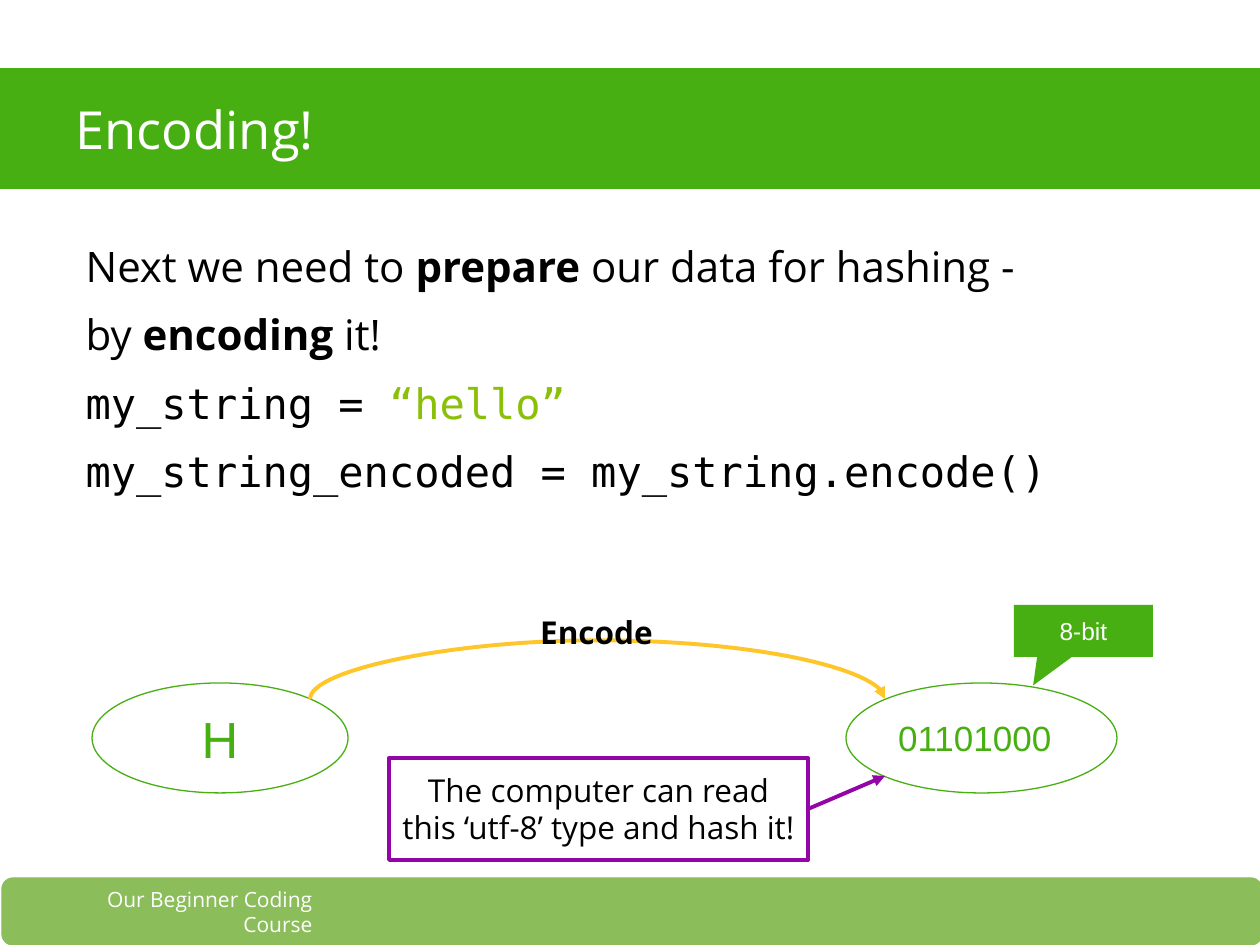
"""Build the slide on encoding a string before hashing it."""
from lxml.etree import SubElement
from pptx import Presentation
from pptx.dml.color import RGBColor
from pptx.enum.shapes import MSO_CONNECTOR as Conn, MSO_SHAPE as Shape
from pptx.enum.text import MSO_ANCHOR as Anchor, MSO_AUTO_SIZE as Fit, PP_ALIGN as Align
from pptx.oxml.ns import qn
from pptx.util import Emu, Pt

THEME = {
    "green": "47AF11", "footer": "8BBD5B", "string": "8AC007", "yellow": "FFC629",
    "purple": "9305A6", "white": "FFFFFF", "black": "000000",
    "sans": "Open Sans", "mono": "DejaVu Sans Mono", "plain": "Arial",
    "title": 30, "body": 24, "letter": 29, "bits": 20, "label": 18, "tag": 14, "small": 12,
}
THIN, THICK = 0.75, 2.25

TITLE = "Encoding!"
BODY = [
    [("Next we need to ", {}), ("prepare", {"bold": True}), (" our data for hashing -", {})],
    [("by ", {}), ("encoding", {"bold": True}), (" it!", {})],
    [("my_string = ", {"font": "mono"}), ("“hello”", {"font": "mono", "color": "string"})],
    [("my_string_encoded = my_string.encode()", {"font": "mono"})],
]
BARS = [
    (Shape.ROUNDED_RECTANGLE, (2, 878, 1260, 67), {"fill": "footer", "line": "footer"}),
    (Shape.RECTANGLE, (0, 68, 1260, 121), {"fill": "green"}),
]
FOOTER = ("Our Beginner Coding Course", (23, 887, 302, 49),
          {"size": "small", "color": "white", "align": Align.RIGHT, "anchor": Anchor.MIDDLE})
ENCODE = ("Encode", (476, 600, 241, 63), {"size": "label", "bold": True, "align": Align.CENTER})
LETTER = ("H", Shape.OVAL, (92, 683, 256, 110), {"line": "green"},
          {"size": "letter", "font": "plain", "color": "green"})
BITS = ("01101000", Shape.OVAL, (846, 683, 271, 110), {"line": "green"},
        {"size": "bits", "font": "plain", "color": "green", "align": Align.LEFT})
NOTE = ("The computer can read this ‘utf-8’ type and hash it!", Shape.RECTANGLE,
        (389, 758, 419, 102), {"line": "purple", "weight": THICK},
        {"size": "label", "anchor": Anchor.TOP})
TAG = ("8-bit", Shape.RECTANGULAR_CALLOUT, (1014, 605, 139, 52),
       {"fill": "green", "adj": (-0.362, 1.049)},
       {"size": "tag", "font": "plain", "color": "white"})
ARC = {"start": (310, 699), "end": (885, 699), "thickness": 600, "bend": -59091700}
POINTER = ((808, 809), (885, 776))

prs = Presentation()
prs.slide_width, prs.slide_height = 9144000, 6858000
PX = prs.slide_width / 1260


def px(*values):
    return [Emu(round(v * PX)) for v in values]


def color(name):
    return RGBColor.from_string(THEME[name])


def place(shape, box):
    for name, value in zip(("left", "top", "width", "height"), px(*box)):
        setattr(shape, name, value)


def write(shape, paragraphs, size="body", font="sans", color_name="black",
          align=Align.LEFT, anchor=Anchor.TOP, bold=False, spacing=None):
    tf = shape.text_frame
    frame = {"word_wrap": True, "auto_size": Fit.NONE, "vertical_anchor": anchor}
    frame.update({f"margin_{side}": Emu(91440) for side in ("left", "top", "right", "bottom")})
    for name, value in frame.items():
        setattr(tf, name, value)
    for i, runs in enumerate(paragraphs):
        p = tf.add_paragraph() if i else tf.paragraphs[0]
        p.alignment = align
        if spacing:
            p.line_spacing = spacing
            p.space_before = Pt(6 if i else 0)
            pPr = p._p.get_or_add_pPr()
            pPr.set("marL", "0")
            pPr.set("indent", "0")
            SubElement(pPr, qn("a:buNone"))
        for text, style in runs:
            r = p.add_run()
            r.text = text
            look = {"name": THEME[style.get("font", font)], "size": Pt(THEME[size]),
                    "bold": style.get("bold", bold)}
            for name, value in look.items():
                setattr(r.font, name, value)
            r.font.color.rgb = color(style.get("color", color_name))


def label(shape, text, look):
    look = dict(look)
    write(shape, [[(text, {})]], color_name=look.pop("color", "black"), **look)


def add_shape(s, kind, box, look):
    sp = s.shapes.add_shape(kind, *px(*box))
    sp.shadow.inherit = False
    for part, fill in (("fill", sp.fill), ("line", sp.line.fill)):
        if part in look:
            fill.solid()
            fill.fore_color.rgb = color(look[part])
        else:
            fill.background()
    if "line" in look:
        sp.line.width = Pt(look.get("weight", THIN))
    for i, value in enumerate(look.get("adj", ())):
        sp.adjustments[i] = value
    return sp


def add_labelled(s, text, kind, box, look, text_look):
    sp = add_shape(s, kind, box, look)
    label(sp, text, {"align": Align.CENTER, "anchor": Anchor.MIDDLE, **text_look})
    return sp


def add_text(s, text, box, look):
    label(s.shapes.add_textbox(*px(*box)), text, look)


def add_arrow(s, kind, start, end, line_color):
    c = s.shapes.add_connector(kind, *px(*start, *end))
    c.line.color.rgb = color(line_color)
    c.line.width = Pt(THICK)
    SubElement(c.line._get_or_add_ln(), qn("a:tailEnd"), type="triangle")
    SubElement(c._element.spPr, qn("a:effectLst"))
    return c


def add_arc(s, source, target):
    (x1, y), (x2, _) = ARC["start"], ARC["end"]
    c = add_arrow(s, Conn.CURVE, ARC["start"], ARC["end"], "yellow")
    place(c, ((x1 + x2) / 2, y - (x2 - x1) / 2, 0, x2 - x1))
    c.width = Emu(ARC["thickness"])
    xfrm = c._element.spPr.find(qn("a:xfrm"))
    xfrm.set("rot", str(270 * 60000))
    xfrm.set("flipH", "1")
    guides = c._element.spPr.find(qn("a:prstGeom")).get_or_add_avLst()
    SubElement(guides, qn("a:gd"), name="adj1", fmla=f"val {ARC['bend']}")
    ends = c._element.nvCxnSpPr.cNvCxnSpPr
    for tag, shape, site in (("a:stCxn", source, 7), ("a:endCxn", target, 1)):
        SubElement(ends, qn(tag), id=str(shape.shape_id), idx=str(site))


def main():
    s = prs.slides.add_slide(prs.slide_layouts[1])
    title, body = s.placeholders
    for bar in BARS:
        add_shape(s, *bar)
    add_text(s, *FOOTER)
    for holder, box in ((title, (63, 68, 1134, 121)), (body, (73, 220, 1134, 370))):
        place(holder, box)
        s.shapes._spTree.append(holder._element)
    label(title, TITLE, {"size": "title", "color": "white", "anchor": Anchor.MIDDLE})
    write(body, BODY, spacing=1.15)
    letter = add_labelled(s, *LETTER)
    bits = add_labelled(s, *BITS)
    add_arc(s, letter, bits)
    add_text(s, *ENCODE)
    add_labelled(s, *NOTE)
    add_labelled(s, *TAG)
    add_arrow(s, Conn.STRAIGHT, *POINTER, "purple")
    prs.save("out.pptx")


if __name__ == "__main__":
    main()
